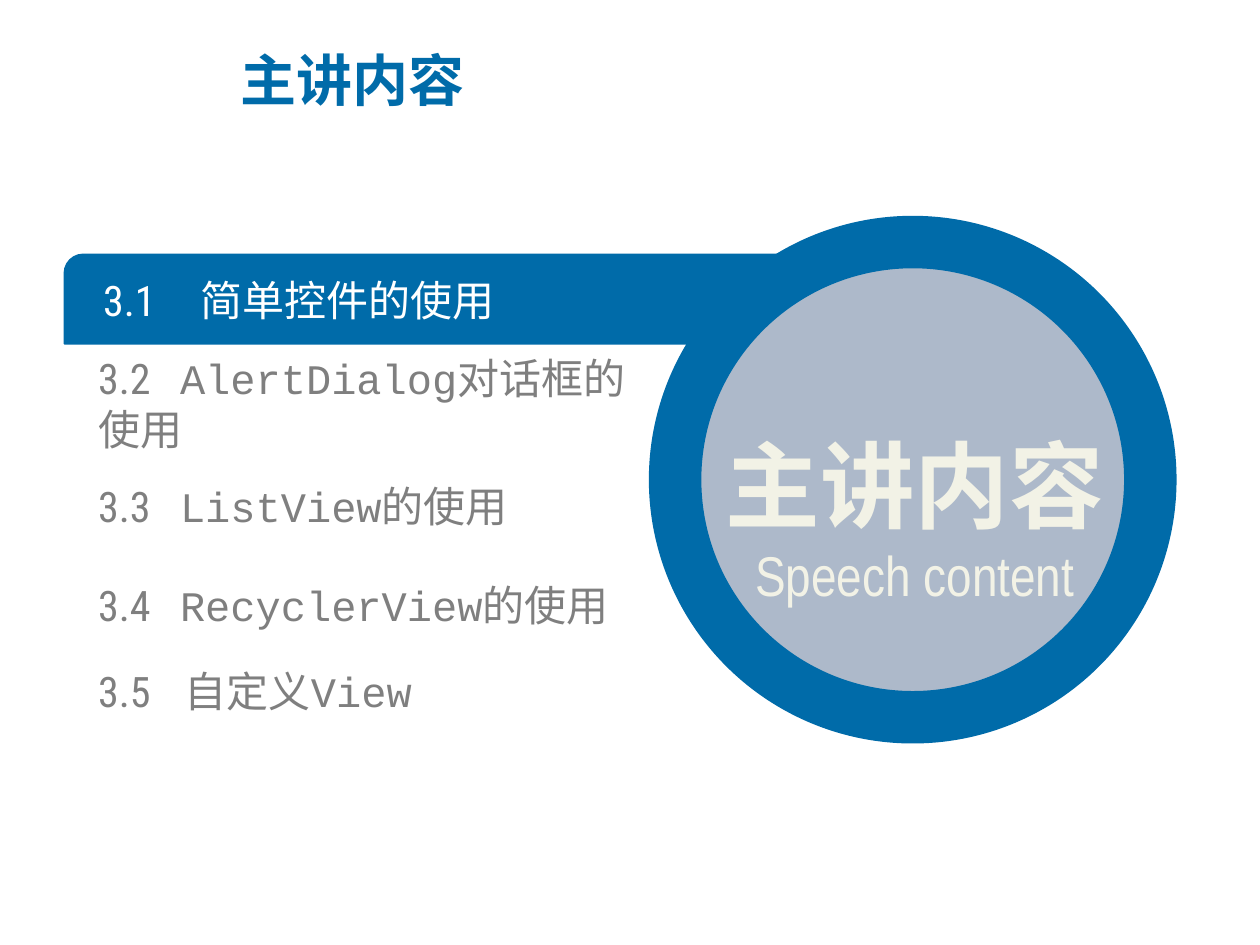
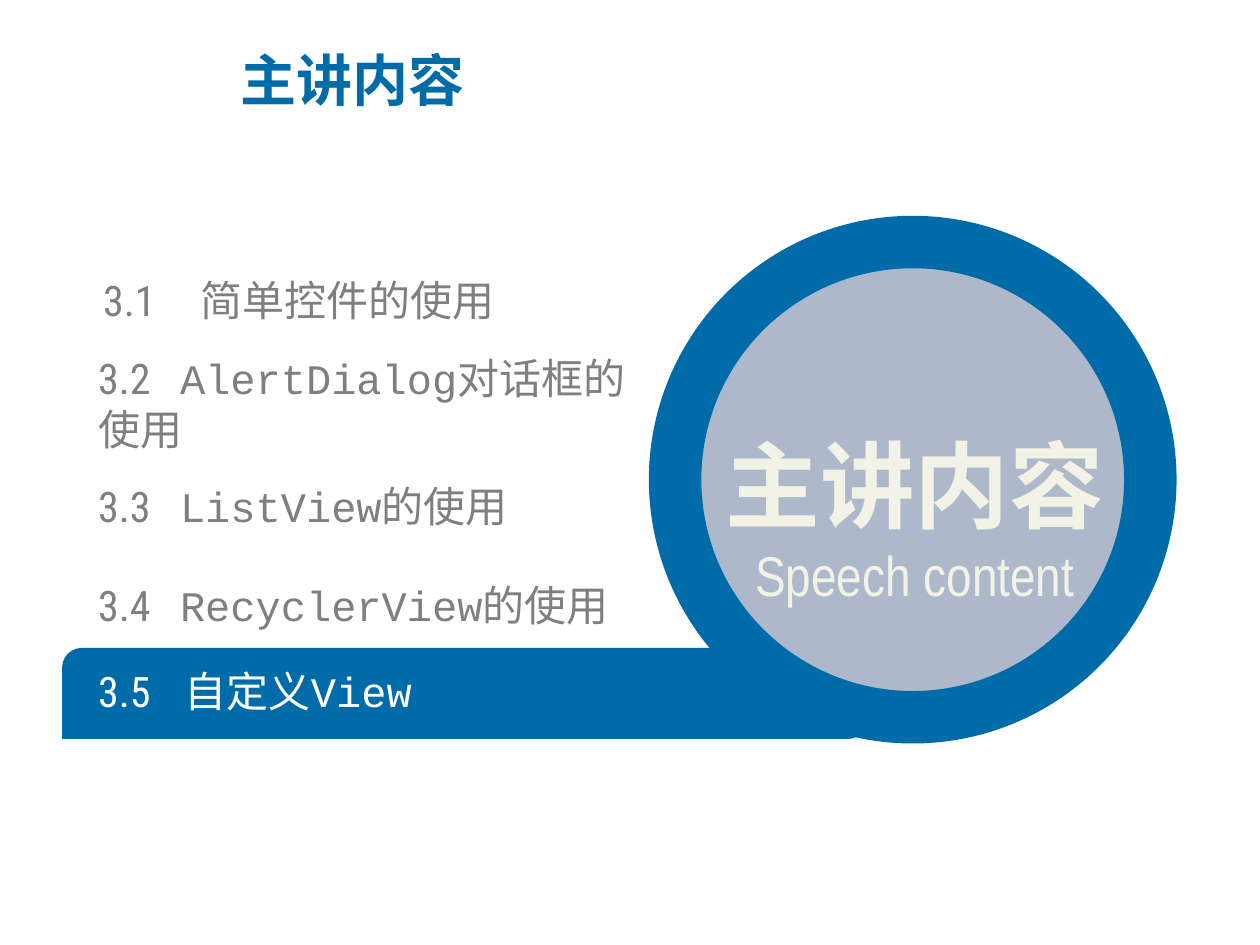
import pptx
import pptx.util
import pptx.dml.color
import pptx.enum.shapes
import pptx.enum.text
import pptx.oxml
import pptx.oxml.ns

Cm, Pt = pptx.util.Cm, pptx.util.Pt
RGBColor = pptx.dml.color.RGBColor
SHAPE = pptx.enum.shapes.MSO_SHAPE
ALIGN = pptx.enum.text.PP_ALIGN
FIT = pptx.enum.text.MSO_AUTO_SIZE
MIDDLE = pptx.enum.text.MSO_ANCHOR.MIDDLE

BLUE = RGBColor(0x00, 0x6B, 0xA9)
MIST = RGBColor(0xAD, 0xB9, 0xCA)
CREAM = RGBColor(0xF2, 0xF2, 0xE6)
GREY = RGBColor(0x7F, 0x7F, 0x7F)
WHITE = RGBColor(0xFF, 0xFF, 0xFF)
HEADING_FONT, TOPIC_FONT = "Noto Sans CJK SC", "Roboto Condensed"
CODE_FONT, ENGLISH_FONT = "Courier New", "Arial Narrow"

HEADING = "主讲内容"
ENGLISH_HEADING = "Speech content"

# number, [(text, font)], left, top, width, tab stop (cm)
TOPICS = [
    ("3.1", [("简单控件的使用", TOPIC_FONT)], 2.08, 5.54, 10.64, 1.97),
    ("3.2", [("AlertDialog", CODE_FONT), ("对话框的使用", TOPIC_FONT)], 1.98, 7.62, 11.2, 1.65),
    ("3.3", [("ListView", CODE_FONT), ("的使用", TOPIC_FONT)], 1.98, 9.68, 10.64, 1.65),
    ("3.4", [("RecyclerView", CODE_FONT), ("的使用", TOPIC_FONT)], 1.98, 11.68, 10.64, 1.65),
    ("3.5", [("自定义", TOPIC_FONT), ("View", CODE_FONT)], 1.98, 13.41, 10.64, 1.75),
]
TOPIC_HEIGHT = 1.02

# current topic, left and top of its band (cm)
AGENDAS = [("3.1", 1.3, 5.13), ("3.5", 1.27, 13.08)]


def set_values(target, values):
    for name, value in values.items():
        setattr(target, name, value)


def add_run(para, text, font, size, color, bold=False):
    """Add a run whose Latin and East Asian text use the same font."""
    span = para.add_run()
    span.text = text
    set_values(span.font, {"name": font, "size": Pt(size), "bold": bold})
    span.font.color.rgb = color
    latin = span.font._element.find(pptx.oxml.ns.qn("a:latin"))
    latin.addnext(pptx.oxml.parse_xml(
        f'<a:ea {pptx.oxml.ns.nsdecls("a")} typeface="{font}"/>'))


def add_text_box(page, left, top, width, height, **frame_values):
    box = page.shapes.add_textbox(Cm(left), Cm(top), Cm(width), Cm(height))
    set_values(box.text_frame, {"word_wrap": True, "vertical_anchor": MIDDLE,
                                "auto_size": FIT.SHAPE_TO_FIT_TEXT, **frame_values})
    return box.text_frame


def add_filled_shape(page, kind, left, top, width, height, fill, line_width):
    shape = page.shapes.add_shape(kind, Cm(left), Cm(top), Cm(width), Cm(height))
    shape.shadow.inherit = False
    shape.fill.solid()
    shape.fill.fore_color.rgb = fill
    shape.line.color.rgb = BLUE
    shape.line.width = Pt(line_width)
    return shape


def add_title(page):
    title = page.shapes.title
    set_values(title, {"left": Cm(4.6), "top": Cm(0.53),
                       "width": Cm(14.3), "height": Cm(2.13)})
    set_values(title.text_frame, {"vertical_anchor": MIDDLE, "auto_size": FIT.NONE})
    para = title.text_frame.paragraphs[0]
    para.alignment = ALIGN.LEFT
    add_run(para, HEADING, HEADING_FONT, 32, BLUE, bold=True)


def add_topic(page, number, parts, left, top, width, tab, color):
    margins = {f"margin_{side}": 0 for side in ("left", "top", "right", "bottom")}
    para = add_text_box(page, left, top, width, TOPIC_HEIGHT, **margins).paragraphs[0]
    para._p.get_or_add_pPr().append(pptx.oxml.parse_xml(
        f'<a:tabLst {pptx.oxml.ns.nsdecls("a")}><a:tab pos="{int(Cm(tab))}" algn="l"/></a:tabLst>'))
    for text, font in [(number + "\t", TOPIC_FONT), *parts]:
        add_run(para, text, font, 24, color)


def add_medallion(page):
    add_filled_shape(page, SHAPE.OVAL, 13.61, 4.88, 9.58, 9.58, MIST, 30)
    frame = add_text_box(page, 13.49, 7.32, 9.91, 5.08)
    chinese, english = frame.paragraphs[0], frame.add_paragraph()
    set_values(chinese, {"alignment": ALIGN.CENTER, "line_spacing": 1.5})
    english.alignment = ALIGN.CENTER
    add_run(chinese, HEADING, HEADING_FONT, 54, CREAM, bold=True)
    add_run(english, ENGLISH_HEADING, ENGLISH_FONT, 32, CREAM)


def add_agenda(deck, current, band_left, band_top):
    page = deck.slides.add_slide(deck.slide_layouts[5])
    add_title(page)
    band = add_filled_shape(page, SHAPE.ROUND_2_DIAG_RECTANGLE,
                            band_left, band_top, 16.2, 1.8, BLUE, 1)
    band.adjustments[0] = 0.21
    for number, *details in TOPICS:
        add_topic(page, number, *details, color=WHITE if number == current else GREY)
    add_medallion(page)


def main():
    deck = pptx.Presentation()
    set_values(deck, {"slide_width": Cm(25.4), "slide_height": Cm(19.05)})
    for agenda in AGENDAS:
        add_agenda(deck, *agenda)
    deck.save("out.pptx")


if __name__ == "__main__":
    main()
